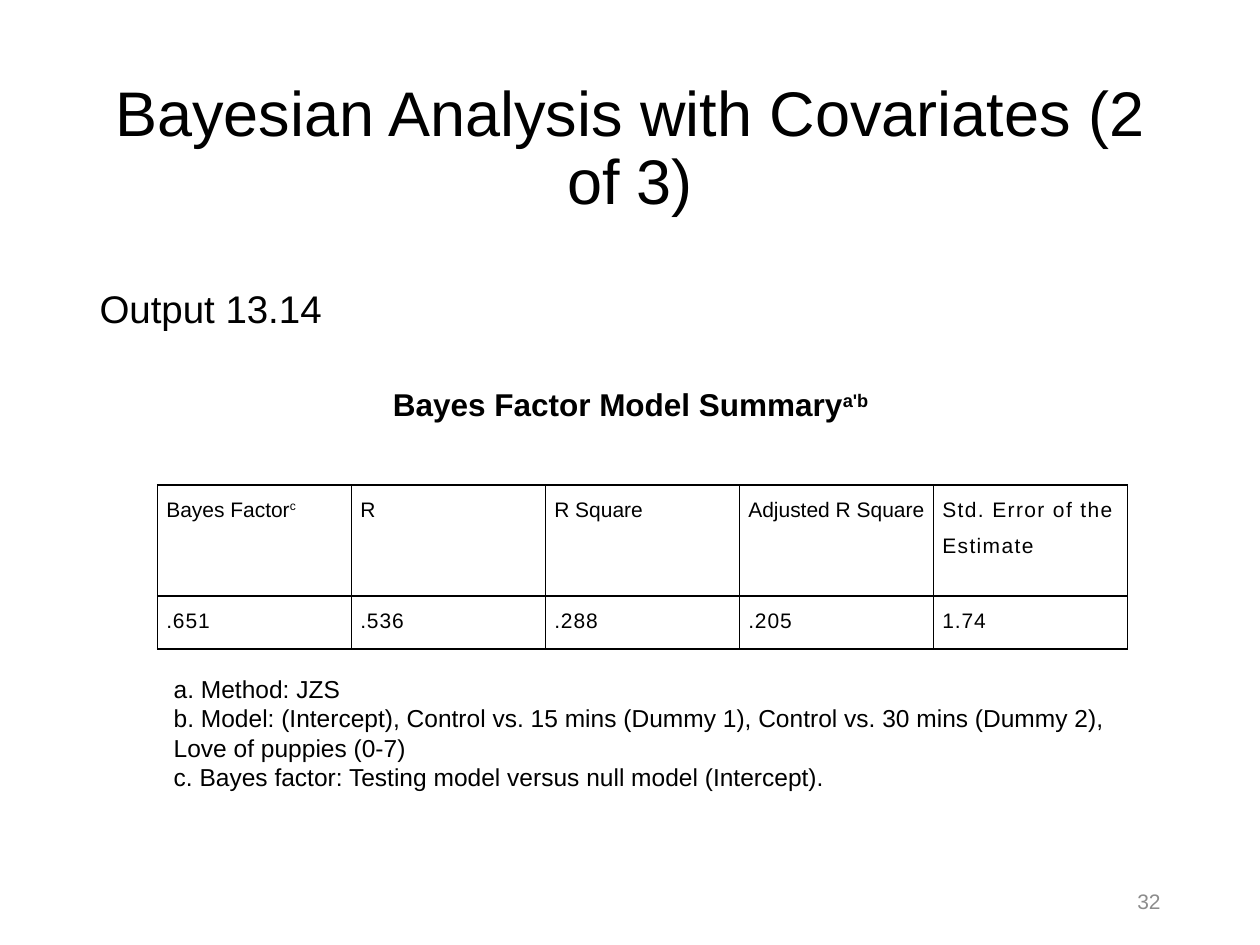
from dataclasses import dataclass

from lxml.etree import SubElement
from pptx import Presentation
from pptx.dml.color import RGBColor
from pptx.enum.text import MSO_ANCHOR, MSO_AUTO_SIZE, PP_ALIGN
from pptx.oxml.ns import qn
from pptx.util import Inches, Pt


@dataclass(frozen=True)
class Theme:
    font: str = "Arial"
    ink: RGBColor = RGBColor(0, 0, 0)
    muted: RGBColor = RGBColor(0x8C, 0x8C, 0x8C)
    title: int = 36
    body: int = 22
    caption: int = 18
    note: int = 14
    small: int = 12


THEME = Theme()


def add_run(p, text, size, color=THEME.ink, bold=False, spacing=0, raised=False):
    """Add a run; spacing is in points, raised makes it a superscript."""
    r = p.add_run()
    r.text = text
    r.font.name = THEME.font
    r.font.size = Pt(size)
    r.font.bold = bold
    r.font.color.rgb = color
    if spacing:
        r.font._element.set("spc", str(round(spacing * 100)))
    if raised:
        r.font._element.set("baseline", "30000")


def place(sp, left, top, width, height, anchor=MSO_ANCHOR.TOP):
    """Position a text shape and return its wrapped text frame."""
    sp.left, sp.top = Inches(left), Inches(top)
    sp.width, sp.height = Inches(width), Inches(height)
    tf = sp.text_frame
    tf.word_wrap = True
    tf.auto_size = MSO_AUTO_SIZE.NONE
    tf.vertical_anchor = anchor
    return tf


prs = Presentation()
prs.slide_width, prs.slide_height = Inches(10), Inches(7.5)
s = prs.slides.add_slide(prs.slide_layouts[1])

# Title
p = place(s.shapes.title, 0.69, 0.47, 8.62, 1.45, MSO_ANCHOR.MIDDLE).paragraphs[0]
p.alignment = PP_ALIGN.CENTER
p.line_spacing = 0.9
add_run(p, "Bayesian Analysis with Covariates (2 of 3)", THEME.title)

# Output label, without a bullet
p = place(s.placeholders[1], 0.69, 2.21, 8.62, 0.68).paragraphs[0]
pPr = p._p.get_or_add_pPr()
pPr.set("marL", "0")
pPr.set("indent", "0")
SubElement(pPr, qn("a:buNone"))
p.space_before = Pt(0)
add_run(p, "Output 13.14", THEME.body)

# Table caption
p = place(s.shapes.add_textbox(0, 0, 0, 0), 1.86, 3.01, 6.29, 0.4).paragraphs[0]
p.alignment = PP_ALIGN.CENTER
add_run(p, "Bayes Factor Model Summary", THEME.caption, bold=True)
add_run(p, "a'b", THEME.caption, bold=True, raised=True)

# Model summary table: (text, letter spacing, footnote mark)
rows = [
    [("Bayes Factor", 0, "c"), ("R", 0.5, ""), ("R Square", 0, ""),
     ("Adjusted R Square", 0, ""), ("Std. Error of the Estimate", 0.8, "")],
    [(value, 0.5, "") for value in (".651", ".536", ".288", ".205", "1.74")],
]
table = s.shapes.add_table(2, 5, Inches(1.25), Inches(3.85), Inches(7.7), Inches(1.3)).table
table.first_row = table.horz_banding = False
for column in table.columns:
    column.width = Inches(1.54)
for row, height in zip(table.rows, (0.88, 0.42)):
    row.height = Inches(height)

for i, row in enumerate(rows):
    for j, (text, spacing, mark) in enumerate(row):
        cell = table.cell(i, j)
        cell.margin_left = cell.margin_right = Inches(0.07)
        cell.margin_top = cell.margin_bottom = 0
        tcPr = cell._tc.get_or_add_tcPr()
        for side in ("lnL", "lnR", "lnT", "lnB"):
            ln = SubElement(tcPr, qn(f"a:{side}"), w=str(Pt(1)))
            fill = SubElement(ln, qn("a:solidFill"))
            SubElement(fill, qn("a:srgbClr"), val=str(THEME.ink))
        cell.fill.background()
        p = cell.text_frame.paragraphs[0]
        p.line_spacing = Pt(20.9)
        add_run(p, text, THEME.small, spacing=spacing)
        if mark:
            add_run(p, mark, THEME.small, raised=True)

# Footnotes
notes = [
    "a. Method: JZS",
    "b. Model: (Intercept), Control vs. 15 mins (Dummy 1), "
    "Control vs. 30 mins (Dummy 2), Love of puppies (0-7)",
    "c. Bayes factor: Testing model versus null model (Intercept).",
]
tf = place(s.shapes.add_textbox(0, 0, 0, 0), 1.28, 5.3, 7.69, 1.04)
for i, note in enumerate(notes):
    p = tf.add_paragraph() if i else tf.paragraphs[0]
    add_run(p, note, THEME.note)

# Slide number
sp = s.shapes.add_textbox(0, 0, 0, 0)
p = place(sp, 7.06, 6.95, 2.25, 0.4, MSO_ANCHOR.MIDDLE).paragraphs[0]
p.alignment = PP_ALIGN.RIGHT
add_run(p, "32", THEME.small, THEME.muted)

prs.save("out.pptx")
